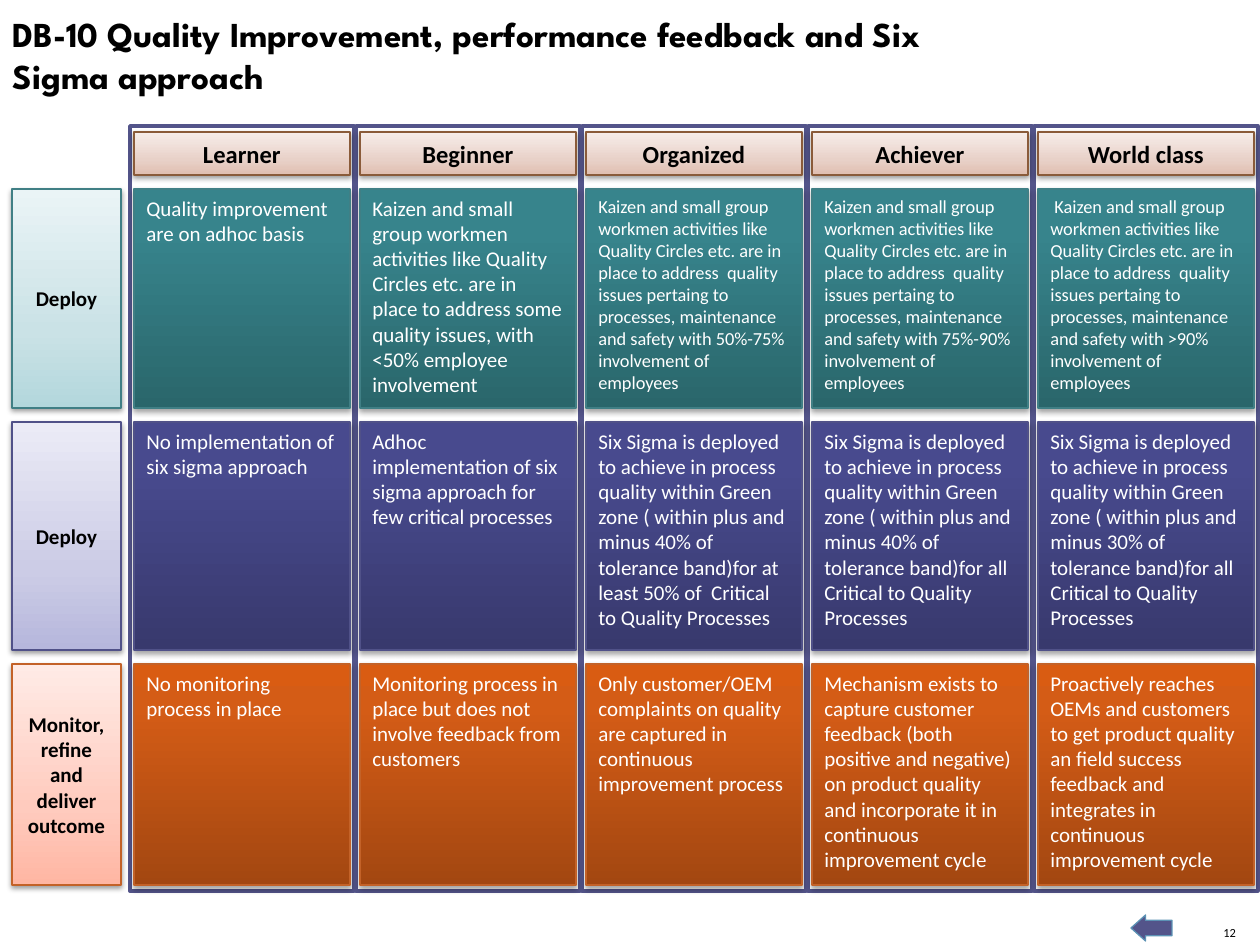
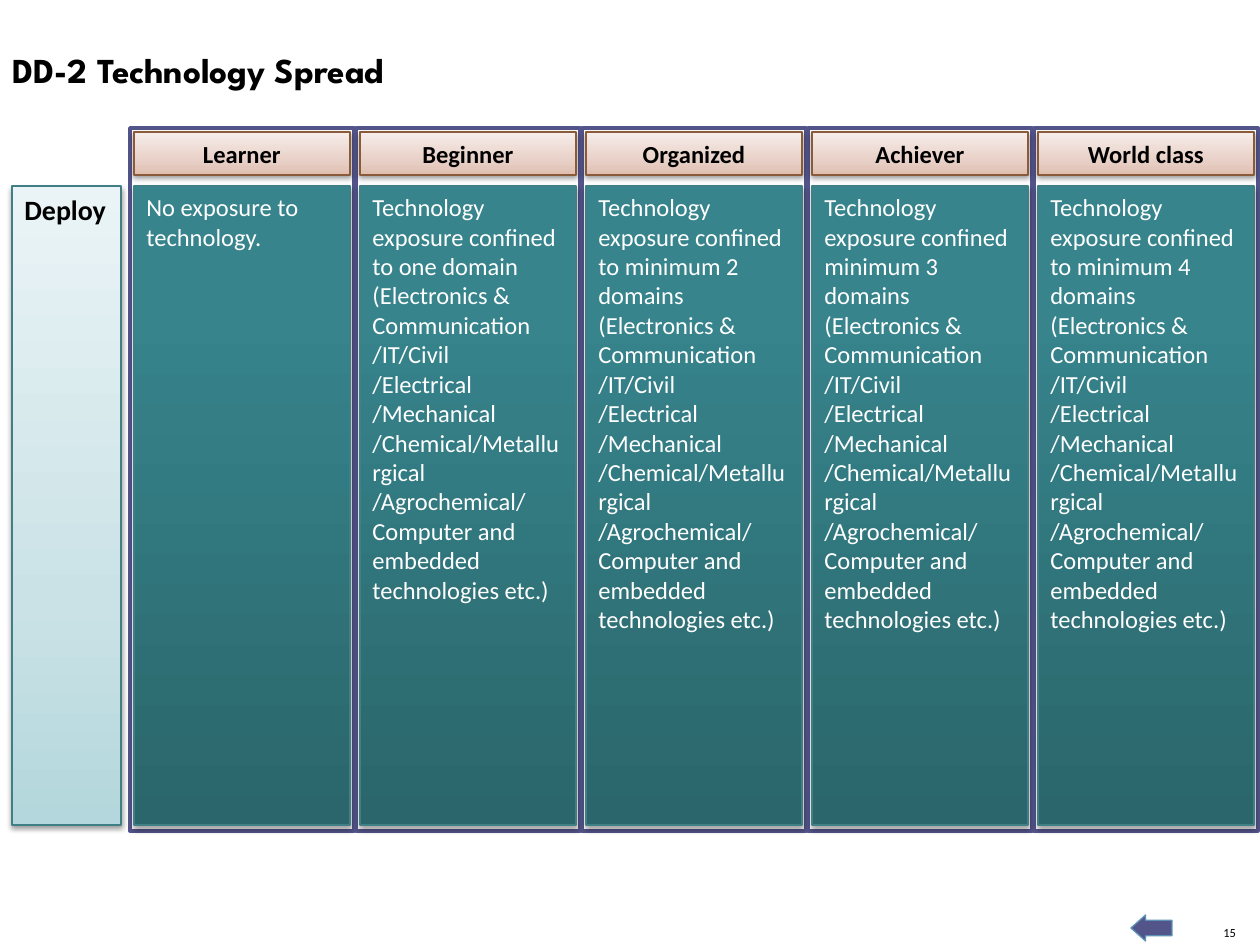
import copy
from dataclasses import dataclass

import lxml.etree
import pptx
import pptx.dml.color
import pptx.enum.shapes
import pptx.enum.text
import pptx.oxml.ns
import pptx.util

RGBColor = pptx.dml.color.RGBColor
ALIGN = pptx.enum.text.PP_ALIGN
ANCHOR = pptx.enum.text.MSO_ANCHOR
SHAPES = pptx.enum.shapes.MSO_SHAPE
qualified = pptx.oxml.ns.qn

# Colours
BLACK = RGBColor(0x00, 0x00, 0x00)
WHITE = RGBColor(0xFF, 0xFF, 0xFF)
INDIGO = RGBColor(0x53, 0x54, 0x8A)
SKY = RGBColor(0x5C, 0x92, 0xB5)


def gradient_colours(*hexes):
    return [RGBColor.from_string(value) for value in hexes]


@dataclass
class Theme:
    """Line colour and bottom-to-top gradients of one row."""
    line: RGBColor
    pale: list
    deep: list = None


TEAL = Theme(RGBColor(0x40, 0x7F, 0x85),
             gradient_colours("B3D7DC", "CAE2E6", "EAF4F6"),
             gradient_colours("2A666B", "37848C", "36868E"))
VIOLET = Theme(RGBColor(0x50, 0x51, 0x88),
               gradient_colours("B6B7DC", "CCCCE6", "EBEBF6"),
               gradient_colours("38396D", "484A8E", "474990"))
ORANGE = Theme(RGBColor(0xC3, 0x62, 0x28),
               gradient_colours("FFB6A3", "FFCBBE", "FFEBE6"),
               gradient_colours("A34711", "D45C16", "D95C12"))
COPPER = Theme(RGBColor(0x8A, 0x5B, 0x3A),
               gradient_colours("E0BEB0", "E8D1C8", "F7EDEA"))

# Grid, in px at 126 to the inch
SCALE = 914400 / 126
COLUMN_LEFT, COLUMN_STEP, FRAME_WIDTH = 130, 226, 224
CELL_INSET, CELL_WIDTH = 4, 216
LABEL_LEFT, LABEL_WIDTH = 12, 109
HEADER_TOP, HEADER_HEIGHT = 132, 43
LEVELS = ["Learner", "Beginner", "Organized", "Achiever", "World class"]


@dataclass
class Row:
    label: str
    theme: Theme
    top: int
    height: int
    texts: list
    sizes: tuple = (12,) * 5


def px(*lengths):
    return [pptx.util.Emu(round(length * SCALE)) for length in lengths]


def write_text(frame, text, size=12, font="Calibri", color=BLACK, bold=False,
               align=ALIGN.LEFT, anchor=ANCHOR.TOP, wrap=True):
    frame.word_wrap = wrap
    frame.vertical_anchor = anchor
    paragraph = frame.paragraphs[0]
    paragraph.alignment = align
    run = paragraph.add_run()
    run.text = text
    run.font.size = pptx.util.Pt(size)
    run.font.name = font
    run.font.bold = bold
    run.font.color.rgb = color


class MaturityDeck:
    def __init__(self):
        self.presentation = pptx.Presentation()
        self.presentation.slide_width, self.presentation.slide_height = px(1260, 945)
        self.slide = None

    def start_slide(self, title, box, number):
        layout = self.presentation.slide_layouts[5]
        self.slide = self.presentation.slides.add_slide(layout)
        shape = self.slide.shapes.title
        shape.left, shape.top, shape.width, shape.height = px(*box)
        write_text(shape.text_frame, title, size=20, font="League Spartan", bold=True)
        shape.text_frame.auto_size = pptx.enum.text.MSO_AUTO_SIZE.SHAPE_TO_FIT_TEXT
        self.footer(number)

    def footer(self, number):
        frame = self.slide.shapes.add_textbox(*px(1221, 925, 15, 15)).text_frame
        frame.margin_left = frame.margin_right = 0
        frame.margin_top = frame.margin_bottom = 0
        write_text(frame, str(number), size=7.1, align=ALIGN.RIGHT,
                   anchor=ANCHOR.BOTTOM, wrap=False)
        arrow = self.block(SHAPES.RIGHT_ARROW, (1131, 915, 41, 26), INDIGO, SKY, 0.75)
        arrow.rotation = 180
        arrow.adjustments[0], arrow.adjustments[1] = 0.59, 0.56

    def block(self, kind, box, fill, line, line_width):
        shape = self.slide.shapes.add_shape(kind, *px(*box))
        shape.shadow.inherit = False
        shape.fill.solid()
        shape.fill.fore_color.rgb = fill
        shape.line.color.rgb = line
        shape.line.width = pptx.util.Pt(line_width)
        return shape

    def card(self, box, line, colours, middle_stop, shadow, text, **text_format):
        """Rectangle with a three-stop gradient, a soft shadow and text."""
        shape = self.block(SHAPES.RECTANGLE, box, colours[0], line, 0.75)
        shape.fill.gradient()
        shape.fill.gradient_angle = 90
        properties = shape.element.spPr
        stops = properties.find(".//" + qualified("a:gsLst"))
        stops.append(copy.deepcopy(stops[0]))
        for stop, position, colour in zip(shape.fill.gradient_stops,
                                          (0, middle_stop, 1), colours):
            stop.position = position
            stop.color.rgb = colour
        self.cast_shadow(properties, *shadow)
        write_text(shape.text_frame, text, **text_format)

    def cast_shadow(self, properties, opacity, distance):
        effects = properties.find(qualified("a:effectLst"))
        outer = lxml.etree.SubElement(
            effects, qualified("a:outerShdw"), blurRad="40000", dist=str(distance),
            dir="5400000", rotWithShape="0")
        colour = lxml.etree.SubElement(outer, qualified("a:srgbClr"), val=str(BLACK))
        lxml.etree.SubElement(colour, qualified("a:alpha"), val=str(opacity * 1000))

    def pale_card(self, box, theme, text, **text_format):
        self.card(box, theme.line, theme.pale, 0.35, (38, 20000), text,
                  bold=True, **text_format)

    def deep_card(self, box, theme, text, size):
        self.card(box, theme.line, theme.deep, 0.8, (35, 23000), text,
                  size=size, color=WHITE)

    def matrix(self, frame_top, frame_height, rows, **label_format):
        lefts = [COLUMN_LEFT + COLUMN_STEP * index for index in range(len(LEVELS))]
        # Row labels
        for row in rows:
            self.pale_card((LABEL_LEFT, row.top, LABEL_WIDTH, row.height),
                           row.theme, row.label, **label_format)
        # Column frames
        for left in lefts:
            self.block(SHAPES.RECTANGLE, (left, frame_top, FRAME_WIDTH, frame_height),
                       WHITE, INDIGO, 2)
        # Cells
        for row in rows:
            for left, text, size in zip(lefts, row.texts, row.sizes):
                self.deep_card((left + CELL_INSET, row.top, CELL_WIDTH, row.height),
                               row.theme, text, size)
        # Column headers
        for left, level in zip(lefts, LEVELS):
            self.pale_card((left + CELL_INSET, HEADER_TOP, CELL_WIDTH, HEADER_HEIGHT),
                           COPPER, level, size=14, align=ALIGN.CENTER,
                           anchor=ANCHOR.MIDDLE)


def kaizen(share):
    return ("Kaizen and small group workmen activities like Quality Circles etc. are "
            "in place to address  quality issues pertaing to processes, maintenance "
            f"and safety with {share} involvement of employees")


def six_sigma(tolerance, coverage):
    return ("Six Sigma is deployed to achieve in process quality within Green zone "
            f"( within plus and minus {tolerance} of tolerance band)for {coverage} "
            "Critical to Quality Processes")


def exposure(extent):
    return (f"Technology exposure confined {extent} (Electronics & Communication "
            "/IT/Civil /Electrical /Mechanical /Chemical/Metallurgical  "
            "/Agrochemical/ Computer and embedded technologies etc.)")


QUALITY_ROWS = [
    Row("Deploy", TEAL, 189, 219, [
        "Quality improvement are on adhoc basis",
        "Kaizen and small group workmen activities like Quality Circles etc. are in "
        "place to address some quality issues, with <50% employee involvement",
        kaizen("50%-75%"),
        kaizen("75%-90%"),
        " " + kaizen(">90%"),
    ], (12, 12, 10.5, 10.5, 10.5)),
    Row("Deploy", VIOLET, 422, 228, [
        "No implementation of six sigma approach",
        "Adhoc implementation of six sigma approach for few critical processes",
        six_sigma("40%", "at least 50% of "),
        six_sigma("40%", "all"),
        six_sigma("30%", "all"),
    ]),
    Row("Monitor, refine and deliver outcome", ORANGE, 664, 221, [
        "No monitoring process in place",
        "Monitoring process in place but does not involve feedback from customers",
        "Only customer/OEM complaints on quality are captured in continuous "
        "improvement process",
        "Mechanism exists to capture customer feedback (both positive and negative) "
        "on product quality and incorporate it in continuous improvement cycle",
        "Proactively reaches OEMs and customers to get product quality an field "
        "success feedback and integrates in continuous improvement cycle",
    ]),
]

TECHNOLOGY_ROWS = [
    Row("Deploy", TEAL, 186, 639, [
        "No exposure to technology.",
        exposure("to one domain"),
        exposure("to minimum 2 domains"),
        exposure("minimum 3 domains"),
        exposure("to minimum 4 domains"),
    ], (14,) * 5),
]


def main():
    deck = MaturityDeck()

    # Quality improvement
    deck.start_slide("DB-10 Quality Improvement, performance feedback and "
                     "Six Sigma approach", (0, 6, 970, 97), 12)
    deck.matrix(126, 765, QUALITY_ROWS, size=12, align=ALIGN.CENTER,
                anchor=ANCHOR.MIDDLE)

    # Technology spread
    deck.start_slide("DD-2 Technology Spread", (0, 42, 1084, 55), 15)
    deck.matrix(128, 703, TECHNOLOGY_ROWS, size=16)

    deck.presentation.save("out.pptx")


if __name__ == "__main__":
    main()
